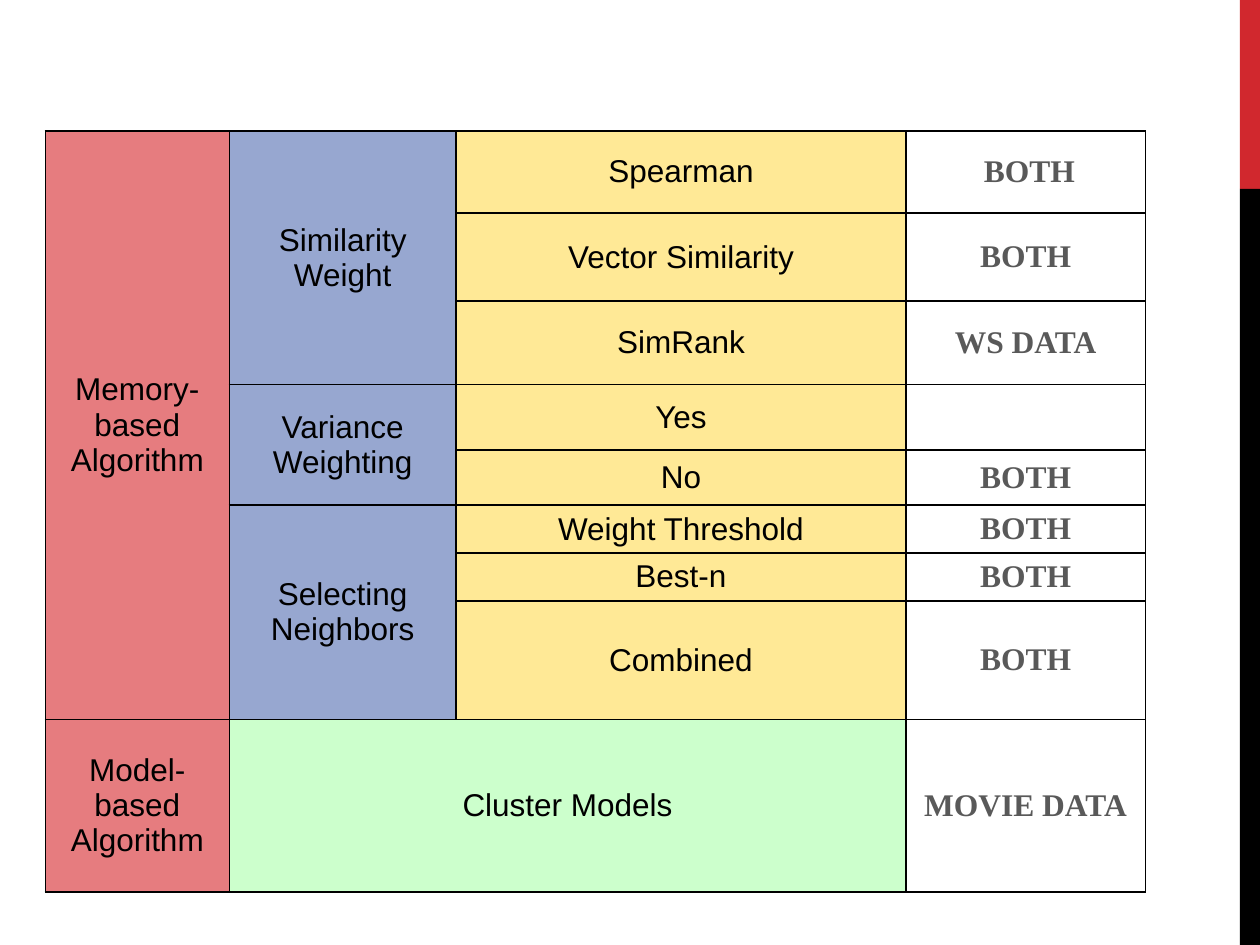
from dataclasses import dataclass
from lxml.etree import SubElement
from pptx import Presentation
from pptx.dml.color import RGBColor
from pptx.enum.shapes import MSO_SHAPE
from pptx.enum.text import MSO_ANCHOR, PP_ALIGN
from pptx.oxml.ns import qn
from pptx.util import Inches, Pt

COLORS = {
    "accent": "D1282E",
    "black": "000000",
    "family": "E67C7F",
    "aspect": "97A7D0",
    "option": "FFE996",
    "cluster": "CCFFCC",
    "dataset": "595959",
}
LABEL = {"name": "Arial", "size": Pt(18), "bold": False}
DATASET = {"name": "Times New Roman", "size": Pt(18), "bold": True}
MARGINS = {"margin_top": Inches(0.04), "margin_bottom": Inches(0.04)}

COLUMN_WIDTHS = [1.46, 1.8, 3.57, 1.9]
ROW_HEIGHTS = [0.65, 0.7, 0.66, 0.52, 0.44, 0.38, 0.38, 0.94, 1.37]
FAMILIES = [("Memory-based Algorithm", 8), ("Model-based Algorithm", 1)]
ASPECTS = [("Similarity Weight", 3), ("Variance Weighting", 2), ("Selecting Neighbors", 3)]
OPTIONS = [
    ("Spearman", " BOTH"),
    ("Vector Similarity", "BOTH"),
    ("SimRank", "WS DATA"),
    ("Yes", ""),
    ("No", "BOTH"),
    ("Weight Threshold", "BOTH"),
    ("Best-n", "BOTH"),
    ("Combined", "BOTH"),
]


def apply_format(target, values):
    for name, value in values.items():
        setattr(target, name, value)


@dataclass
class SlideBuilder:
    page: object
    colors: dict

    def color(self, name):
        return RGBColor.from_string(self.colors[name])

    def bar(self, left, top, width, height, color):
        box = self.page.shapes.add_shape(
            MSO_SHAPE.RECTANGLE, Inches(left), Inches(top), Inches(width), Inches(height))
        box.shadow.inherit = False
        box.fill.solid()
        box.fill.fore_color.rgb = self.color(color)
        box.line.fill.background()

    def table(self, left, top, widths, heights):
        frame = self.page.shapes.add_table(
            len(heights), len(widths), Inches(left), Inches(top),
            Inches(sum(widths)), Inches(sum(heights)))
        table = frame.table
        apply_format(table, {"first_row": False, "horz_banding": False})
        for column, width in zip(table.columns, widths):
            column.width = Inches(width)
        for row, height in zip(table.rows, heights):
            row.height = Inches(height)
            for cell in row.cells:
                apply_format(cell, MARGINS)
                self.borders(cell)
                cell.fill.background()
        return table

    def borders(self, cell):
        properties = cell._tc.get_or_add_tcPr()
        for side in ("L", "R", "T", "B"):
            line = SubElement(properties, qn(f"a:ln{side}"), w=str(Pt(1)))
            fill = SubElement(line, qn("a:solidFill"))
            SubElement(fill, qn("a:srgbClr"), val=self.colors["black"])

    def cell(self, cell, text, fill=None, style=LABEL, color="black"):
        cell.vertical_anchor = MSO_ANCHOR.MIDDLE
        if fill:
            cell.fill.solid()
            cell.fill.fore_color.rgb = self.color(fill)
        paragraph = cell.text_frame.paragraphs[0]
        paragraph.alignment = PP_ALIGN.CENTER
        if text:
            span = paragraph.add_run()
            span.text = text
            apply_format(span.font, style)
            span.font.color.rgb = self.color(color)

    def groups(self, table, column, groups, fill):
        """Fill a column from the top with cells that each span several rows."""
        row = 0
        for text, count in groups:
            first = table.cell(row, column)
            if count > 1:
                first.merge(table.cell(row + count - 1, column))
            self.cell(first, text, fill)
            row += count


def main():
    deck = Presentation()
    apply_format(deck, {"slide_width": Inches(10), "slide_height": Inches(7.5)})
    builder = SlideBuilder(deck.slides.add_slide(deck.slide_layouts[6]), COLORS)

    builder.bar(9.84, 0, 0.16, 1.5, "accent")
    builder.bar(9.84, 1.5, 0.16, 6, "black")

    table = builder.table(0.36, 1.04, COLUMN_WIDTHS, ROW_HEIGHTS)
    builder.groups(table, 0, FAMILIES, "family")
    builder.groups(table, 1, ASPECTS, "aspect")
    for row, (option, dataset) in enumerate(OPTIONS):
        builder.cell(table.cell(row, 2), option, "option")
        builder.cell(table.cell(row, 3), dataset, style=DATASET, color="dataset")

    last = len(OPTIONS)
    table.cell(last, 1).merge(table.cell(last, 2))
    builder.cell(table.cell(last, 1), "Cluster Models", "cluster")
    builder.cell(table.cell(last, 3), "MOVIE DATA", style=DATASET, color="dataset")

    deck.save("out.pptx")


if __name__ == "__main__":
    main()
